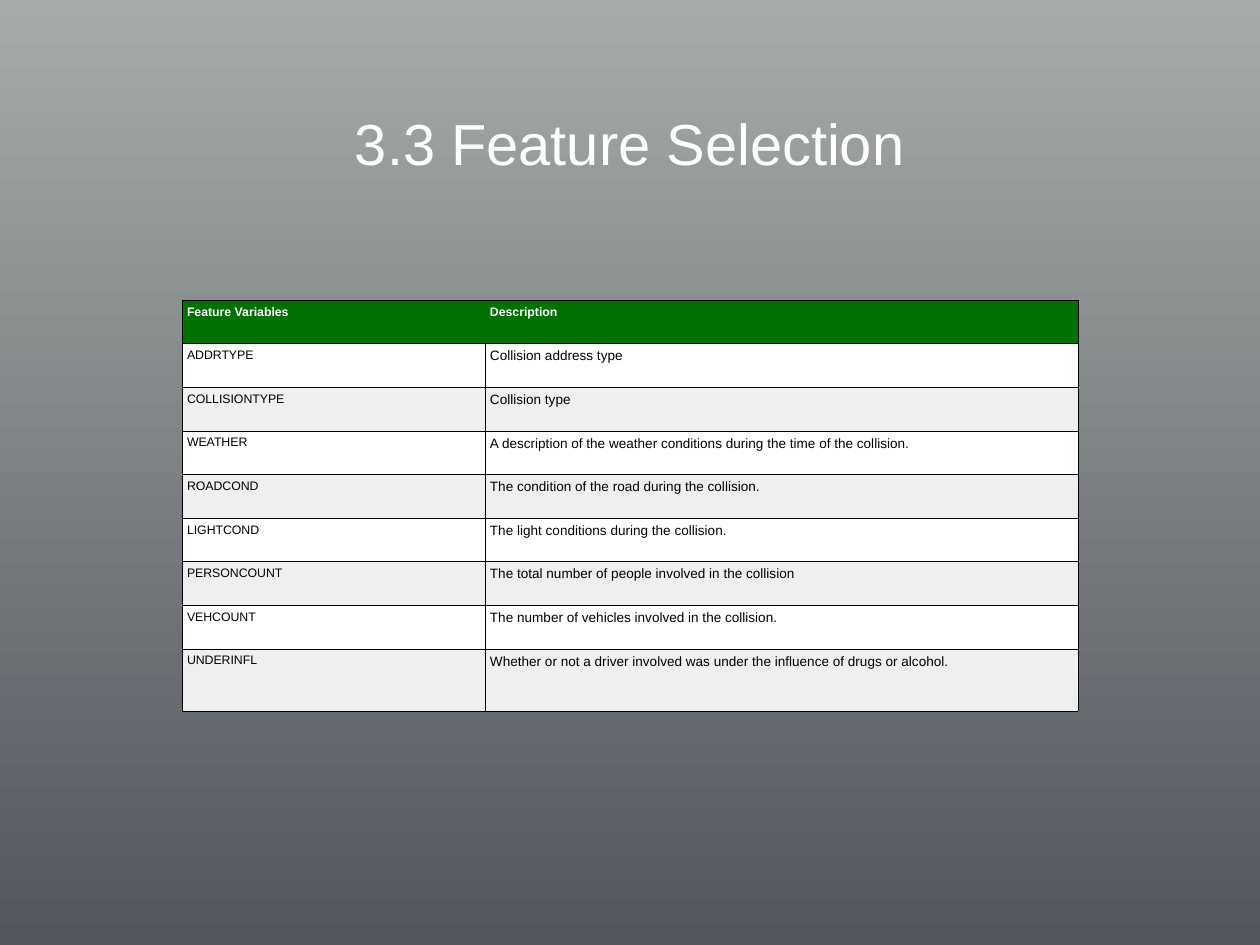
from lxml.etree import SubElement
from pptx import Presentation
from pptx.dml.color import RGBColor as RGB
from pptx.enum.text import MSO_ANCHOR as ANCHOR, PP_ALIGN as ALIGN
from pptx.oxml.ns import qn
from pptx.util import Pt

PX = 914400 / 88.6
INSET = 5
COLORS = {
    "top": "A6AAA8", "bottom": "52575F", "header": "017101",
    "odd": "FFFFFF", "even": "EFEFEF", "white": "FFFFFF", "black": "000000",
}
FEATURES = [
    ("Feature Variables", "Description"),
    ("ADDRTYPE", "Collision address type"),
    ("COLLISIONTYPE", "Collision type"),
    ("WEATHER", "A description of the weather conditions during the time of the collision."),
    ("ROADCOND", "The condition of the road during the collision."),
    ("LIGHTCOND", "The light conditions during the collision."),
    ("PERSONCOUNT", "The total number of people involved in the collision"),
    ("VEHCOUNT", "The number of vehicles involved in the collision."),
    ("UNDERINFL", "Whether or not a driver involved was under the influence of drugs or alcohol."),
]


def px(n):
    return round(n * PX)


def color(name):
    return RGB.from_string(COLORS[name])


def set_margins(holder):
    holder.margin_left = holder.margin_right = px(INSET)
    holder.margin_top = holder.margin_bottom = px(INSET)


def write(tf, text, size, fill="black", bold=False, align=ALIGN.LEFT):
    p = tf.paragraphs[0]
    p.alignment = align
    r = p.add_run()
    r.text = text
    r.font.name = "Arial"
    r.font.size = Pt(size)
    r.font.bold = bold
    r.font.color.rgb = color(fill)


def set_borders(cell, hidden=""):
    """Draw thin black cell edges, except the side named in hidden."""
    tcPr = cell._tc.get_or_add_tcPr()
    for side in "LRTB":
        ln = SubElement(tcPr, qn(f"a:ln{side}"), w=str(Pt(0.25)))
        if side == hidden:
            SubElement(ln, qn("a:noFill"))
        else:
            solid = SubElement(ln, qn("a:solidFill"))
            SubElement(solid, qn("a:srgbClr"), val=COLORS["black"])


def paint_background(slide):
    fill = slide.background.fill
    fill.gradient()
    fill.gradient_angle = 270
    for stop, name in zip(fill.gradient_stops, ("top", "bottom")):
        stop.color.rgb = color(name)


def place_title(slide, text, x, y, w, h):
    title = slide.shapes.title
    title.left, title.top, title.width, title.height = map(px, (x, y, w, h))
    tf = title.text_frame
    tf.word_wrap = True
    tf.vertical_anchor = ANCHOR.MIDDLE
    set_margins(tf)
    write(tf, text, 47, "white", align=ALIGN.CENTER)


def add_feature_table(slide, features, x, y, w, h, name_w=303, last_h=62):
    """The last row has its own height; the others share the rest equally."""
    count = len(features)
    frame = slide.shapes.add_table(count, 2, px(x), px(y), px(w), px(h))
    table = frame.table
    table.first_row = table.horz_banding = False
    for column, width in zip(table.columns, (name_w, w - name_w)):
        column.width = px(width)
    for i, texts in enumerate(features):
        header = i == 0
        table.rows[i].height = px(last_h if i == count - 1 else (h - last_h) / (count - 1))
        row_fill = "header" if header else "odd" if i % 2 else "even"
        for j, text in enumerate(texts):
            cell = table.cell(i, j)
            set_margins(cell)
            set_borders(cell, hidden="RL"[j] if header else "")
            cell.fill.solid()
            cell.fill.fore_color.rgb = color(row_fill)
            write(cell.text_frame, text, 11 if j and not header else 10,
                  "white" if header else "black", bold=header)


def main():
    prs = Presentation()
    prs.slide_width, prs.slide_height = px(1260), px(945)
    slide = prs.slides.add_slide(prs.slide_layouts[5])
    paint_background(slide)
    place_title(slide, "3.3 Feature Selection", 92, 39, 1076, 206)
    add_feature_table(slide, FEATURES, 182, 300, 896, 411)
    prs.save("out.pptx")


if __name__ == "__main__":
    main()
